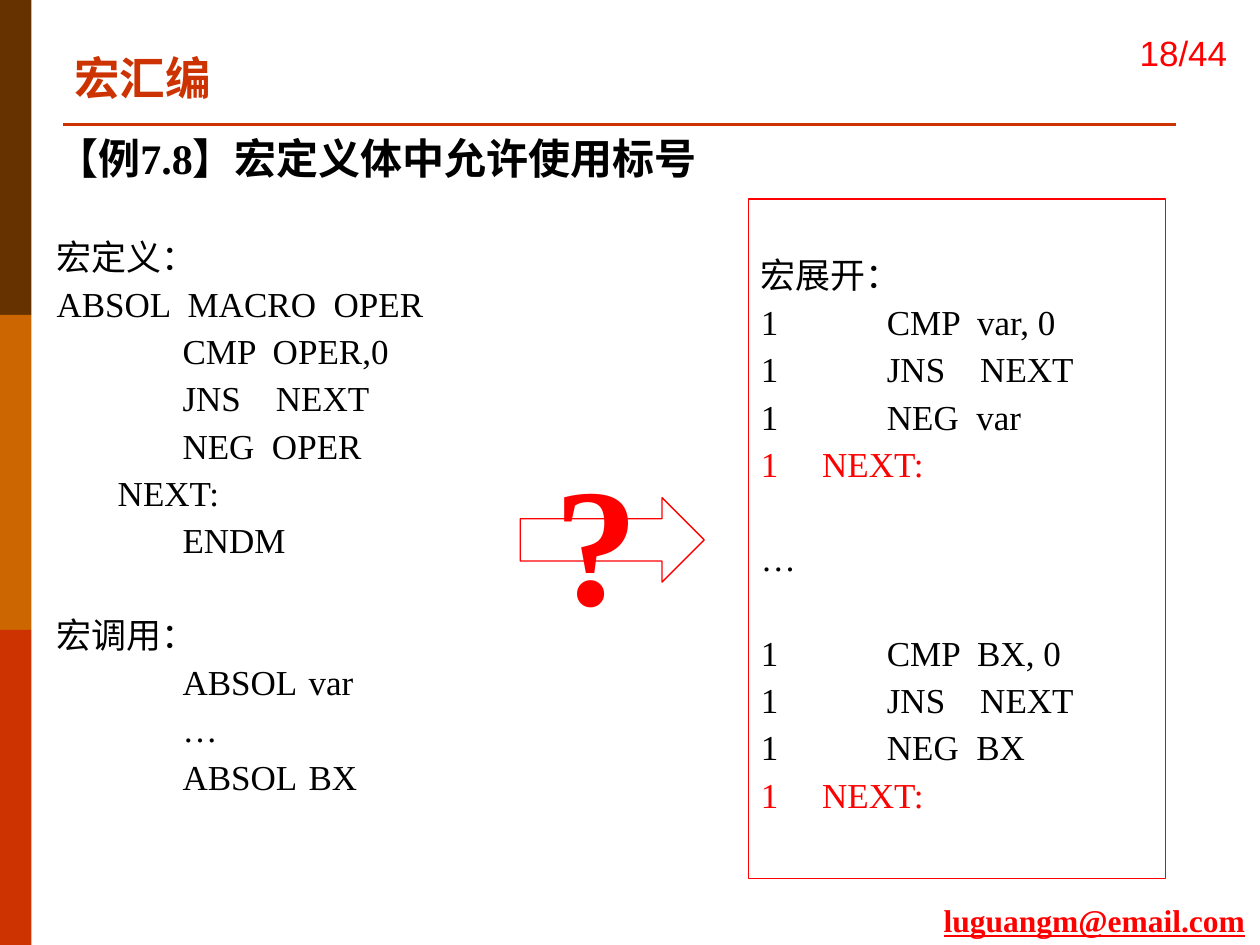
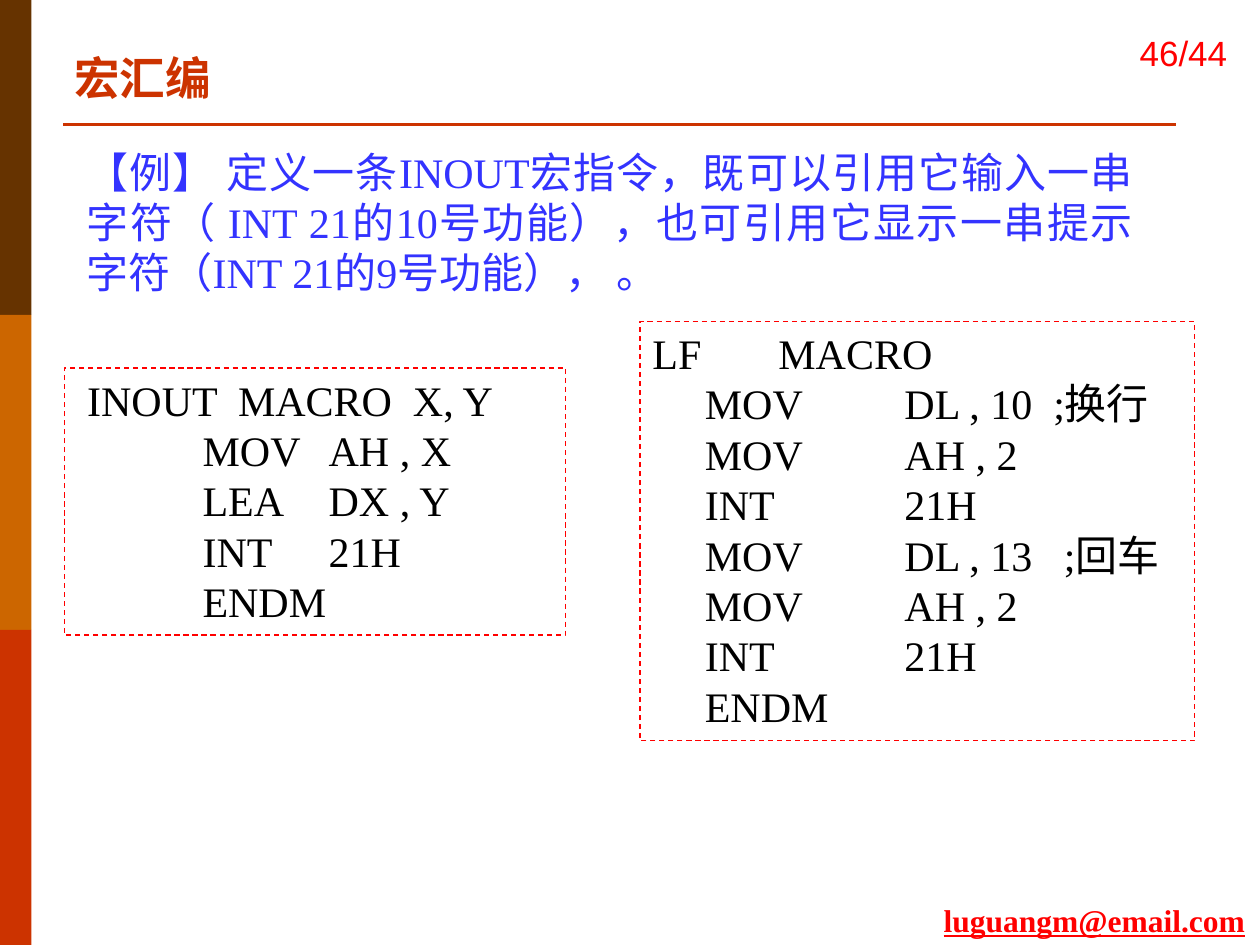
from lxml import etree
from pptx import Presentation
from pptx.dml.color import RGBColor
from pptx.enum.dml import MSO_LINE_DASH_STYLE as Dash
from pptx.enum.shapes import MSO_CONNECTOR as Connector, MSO_SHAPE as Shape
from pptx.enum.text import MSO_ANCHOR as Anchor, PP_ALIGN as Align
from pptx.oxml.ns import qn
from pptx.util import Inches, Pt

# Shared look
SERIF, SANS = "Times New Roman", "Arial"
BLACK, WHITE, RED, BLUE, RUST = "000000", "FFFFFF", "FF0000", "3333FF", "CC3300"
BANDS = ["663300", "CC6600", RUST]
TITLE = "宏汇编"
EMAIL = "luguangm@email.com"
LINE_GAP, BLOCK_GAP = 3, 30  # points before a line and before a new block
TAB_STOPS = [1, 2, 3]  # inches

# Slide 1 content: (text, space before, format)
MACRO_LINES = [
    ("【例7.8】宏定义体中允许使用标号", 0, dict(size=24, bold=True)),
    ("宏定义：", BLOCK_GAP, {}),
    ("ABSOL  MACRO  OPER", LINE_GAP, {}),
    ("\tCMP  OPER,0", LINE_GAP, {}),
    ("\tJNS    NEXT", LINE_GAP, {}),
    ("\tNEG  OPER", LINE_GAP, {}),
    ("       NEXT:", LINE_GAP, {}),
    ("\tENDM", LINE_GAP, {}),
    ("宏调用：", BLOCK_GAP, {}),
    ("\tABSOL\tvar", LINE_GAP, {}),
    ("\t…", LINE_GAP, {}),
    ("\tABSOL\tBX", LINE_GAP, {}),
]


def expanded_macro(operand, first_gap):
    """Lines that one call of ABSOL expands to."""
    return [
        (f"1\tCMP  {operand}, 0", first_gap, {}),
        ("1\tJNS    NEXT", LINE_GAP, {}),
        (f"1\tNEG  {operand}", LINE_GAP, {}),
        ("1     NEXT:", LINE_GAP, dict(color=RED)),
    ]


EXPANSION_LINES = [
    ("宏展开：", 0, {}),
    *expanded_macro("var", LINE_GAP),
    ("…", BLOCK_GAP, {}),
    *expanded_macro("BX", BLOCK_GAP),
]

# Slide 2 content
INOUT_TASK = ("【例】 定义一条INOUT宏指令，既可以引用它输入一串字符（ INT 21的10号功能），"
              "也可引用它显示一串提示字符（INT 21的9号功能）， 。")
LINE_FEED_CODE = [
    "LF\tMACRO",
    "     MOV\tDL , 10  ;换行",
    "     MOV\tAH , 2",
    "     INT\t\t21H",
    "     MOV\tDL , 13   ;回车",
    "     MOV\tAH , 2",
    "     INT\t\t21H",
    "     ENDM",
]
INOUT_CODE = [
    " INOUT  MACRO  X, Y",
    "           \tMOV\tAH , X",
    "            LEA\tDX , Y",
    "           \tINT\t21H",
    "            ENDM",
]


def rgb(value):
    return RGBColor.from_string(value)


def add_tab_stops(paragraph):
    tab_list = etree.SubElement(paragraph._p.get_or_add_pPr(), qn("a:tabLst"))
    for stop in TAB_STOPS:
        etree.SubElement(tab_list, qn("a:tab"), pos=str(Inches(stop)), algn="l")


def write(shape, lines, align=Align.LEFT, anchor=Anchor.TOP, wrap=True,
          font=SERIF, size=20, color=BLACK, bold=False, underline=False):
    """Write (text, space before, format) lines into a shape."""
    frame = shape.text_frame
    frame.word_wrap = wrap
    frame.vertical_anchor = anchor
    for index, (text, gap, special) in enumerate(lines):
        paragraph = frame.paragraphs[0] if index == 0 else frame.add_paragraph()
        paragraph.alignment = align
        paragraph.space_before = Pt(gap)
        if "\t" in text:
            add_tab_stops(paragraph)
        run = paragraph.add_run()
        run.text = text
        run.font.name = font
        run.font.size = Pt(special.get("size", size))
        run.font.bold = special.get("bold", bold)
        run.font.underline = underline
        run.font.color.rgb = rgb(special.get("color", color))


def plain(lines):
    return [(line, 0, {}) for line in lines]


def add_text(slide, place, lines, **style):
    box = slide.shapes.add_textbox(*map(Inches, place))
    write(box, lines, **style)
    return box


def add_box(slide, place, kind=Shape.RECTANGLE, fill=None, line=None, dash=None):
    shape = slide.shapes.add_shape(kind, *map(Inches, place))
    shape.shadow.inherit = False
    if fill:
        shape.fill.solid()
        shape.fill.fore_color.rgb = rgb(fill)
    else:
        shape.fill.background()
    if line:
        shape.line.color.rgb = rgb(line)
        shape.line.width = Pt(0.75)
        if dash:
            shape.line.dash_style = dash
    else:
        shape.line.fill.background()
    return shape


def add_slide(presentation, page):
    """Add a slide with side bands, title, rule, page number and e-mail."""
    slide = presentation.slides.add_slide(presentation.slide_layouts[5])
    band_height = 7.5 / len(BANDS)
    for index, color in enumerate(BANDS):
        add_box(slide, (0, index * band_height, 0.25, band_height), fill=color)

    rule = slide.shapes.add_connector(
        Connector.STRAIGHT, Inches(0.5), Inches(0.99), Inches(9.33), Inches(0.99))
    rule.line.color.rgb = rgb(RUST)
    rule.line.width = Pt(1.5)
    etree.SubElement(rule.element.spPr, qn("a:effectLst"))

    title = slide.shapes.title
    title.left, title.top, title.width, title.height = map(
        Inches, (0.49, 0.34, 6.99, 0.54))
    write(title, plain([TITLE]), anchor=Anchor.MIDDLE, size=26, color=RUST, bold=True)

    number = add_text(slide, (8.78, 0, 1.22, 0.84), plain([page]), align=Align.RIGHT,
                      anchor=Anchor.MIDDLE, font=SANS, color=RED)
    number.text_frame.margin_right = Inches(0.26)
    add_text(slide, (7.39, 7.1, 2.61, 0.4), plain([EMAIL]), wrap=False, size=18,
             color=RED, bold=True, underline=True)
    return slide


def build_label_slide(presentation):
    slide = add_slide(presentation, "18/44")
    add_text(slide, (0.35, 1, 5.35, 5.9), MACRO_LINES)

    # Expansion panel
    expansion = add_box(slide, (5.94, 1.58, 3.31, 5.39), line=RED)
    expansion.text_frame.margin_top = Inches(0.43)
    write(expansion, EXPANSION_LINES)

    # Arrow with the question mark over it
    add_box(slide, (4.13, 3.95, 1.46, 0.67), Shape.RIGHT_ARROW, fill=WHITE, line=RED)
    add_text(slide, (4.3, 3.42, 0.87, 1.72), plain(["?"]), align=Align.CENTER,
             wrap=False, size=96, color=RED, bold=True)


def build_inout_slide(presentation):
    slide = add_slide(presentation, "46/44")
    add_text(slide, (0.59, 1.11, 8.5, 1.06), plain([INOUT_TASK]),
             align=Align.JUSTIFY, size=24, color=BLUE)

    # Code panels
    for place, code in [((5.08, 2.55, 4.4, 3.33), LINE_FEED_CODE),
                        ((0.51, 2.92, 3.98, 2.12), INOUT_CODE)]:
        panel = add_box(slide, place, line=RED, dash=Dash.DASH)
        write(panel, plain(code), size=24)


def main():
    presentation = Presentation()
    presentation.slide_width, presentation.slide_height = Inches(10), Inches(7.5)
    build_label_slide(presentation)
    build_inout_slide(presentation)
    presentation.save("out.pptx")


if __name__ == "__main__":
    main()
